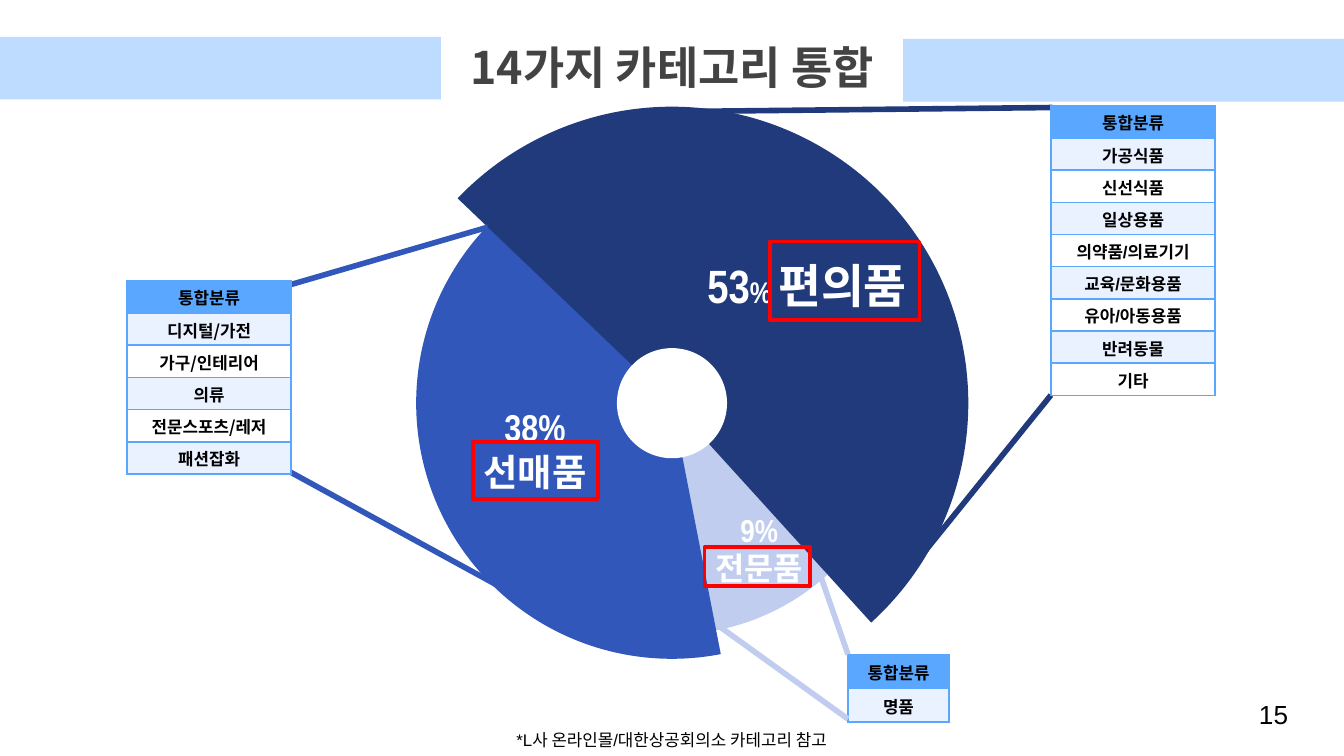
from lxml.etree import SubElement
from pptx import Presentation
from pptx.dml.color import RGBColor
from pptx.enum.shapes import MSO_CONNECTOR as Link, MSO_SHAPE as Shape
from pptx.enum.text import MSO_ANCHOR as Anchor, MSO_AUTO_SIZE as Auto, PP_ALIGN as Align
from pptx.oxml.ns import qn
from pptx.util import Pt

NAVY, BLUE, PALE = "203A7B", "3057B9", "C0CDEF"
HEAD, BAND, WHITE, BLACK = "59A7FF", "EAF1FF", "FFFFFF", "000000"
MID_X, MID_Y = 360, 216
KOREAN = "Noto Sans CJK KR"


def color(code):
    return RGBColor.from_string(code)


def style(run, size, code, bold=False, face="Arial"):
    font = run.font
    font.name, font.size, font.bold = face, Pt(size), bold
    font.color.rgb = color(code)


def add_text(slide, box, lines, size, code, bold=False, face="Arial",
             align=Align.CENTER, pad=None, grow=False, wrap=True):
    """Add a text box; pad sets all insets and centres the text vertically."""
    frame = slide.shapes.add_textbox(*map(Pt, box)).text_frame
    frame.word_wrap = wrap
    if grow:
        frame.auto_size = Auto.SHAPE_TO_FIT_TEXT
    if pad is not None:
        frame.vertical_anchor = Anchor.MIDDLE
        frame.margin_left = frame.margin_right = Pt(pad)
        frame.margin_top = frame.margin_bottom = Pt(pad)
    frame.text = lines
    for para in frame.paragraphs:
        para.alignment = align
        for run in para.runs:
            style(run, size, code, bold, face)
    return frame


def add_shape(slide, kind, box, fill=None, line=None):
    shape = slide.shapes.add_shape(kind, *map(Pt, box))
    shape.shadow.inherit = False
    if fill:
        shape.fill.solid()
        shape.fill.fore_color.rgb = color(fill)
    else:
        shape.fill.background()
    if line:
        shape.line.color.rgb = color(line)
        shape.line.width = Pt(2)
    else:
        shape.line.fill.background()
    return shape


def add_disc(slide, kind, radius, fill):
    box = (MID_X - radius, MID_Y - radius, 2 * radius, 2 * radius)
    return add_shape(slide, kind, box, fill)


def add_slice(slide, radius, start, end, fill):
    """Add a pie slice between two angles in degrees, clockwise from the right."""
    pie = add_disc(slide, Shape.PIE, radius, fill)
    for spot, angle in enumerate((start, end)):
        pie.adjustments[spot] = angle * 0.6


def add_line(slide, ends, code):
    line = slide.shapes.add_connector(Link.STRAIGHT, *map(Pt, ends))
    line.line.color.rgb = color(code)
    line.line.width = Pt(3)
    SubElement(line._element.spPr, qn("a:effectLst"))


def add_edges(cell):
    props = cell._tc.get_or_add_tcPr()
    for side in ("lnL", "lnR", "lnT", "lnB"):
        edge = SubElement(props, qn(f"a:{side}"), w=str(Pt(1)))
        fill = SubElement(edge, qn("a:solidFill"))
        SubElement(fill, qn("a:srgbClr"), val=HEAD)


def add_list(slide, left, top, width, step, names, face="Arial"):
    """Add a one-column table with a header and banded rows."""
    rows = ["통합분류", *names]
    table = slide.shapes.add_table(len(rows), 1, Pt(left), Pt(top), Pt(width),
                                   Pt(step * len(rows))).table
    for spot, name in enumerate(rows):
        table.rows[spot].height = Pt(step)
        cell = table.cell(spot, 0)
        add_edges(cell)
        cell.fill.solid()
        shade = BAND if spot % 2 else WHITE
        cell.fill.fore_color.rgb = color(shade if spot else HEAD)
        cell.margin_left = cell.margin_right = cell.margin_top = Pt(0.75)
        cell.margin_bottom = 0
        cell.vertical_anchor = Anchor.MIDDLE
        cell.text = name
        para = cell.text_frame.paragraphs[0]
        para.alignment = Align.CENTER
        style(para.runs[0], 9, BLACK, True, face if spot else "Arial")


def add_share(slide, box, lines, size):
    return add_text(slide, box, lines, size, WHITE, True, "Arial Narrow", pad=7.2)


def add_chart(slide):
    """Draw the three slices with their labels and the white hub."""
    add_slice(slide, 124, 47.73, 79.17, PALE)
    add_share(slide, (336.2, 269.3, 141.1, 49), "9%\n전문품", 17)
    add_slice(slide, 137, 78.98, 225, BLUE)
    add_share(slide, (204.5, 216, 164.2, 49), "38%\n선매품", 20)
    add_slice(slide, 158.8, 223.7, 47.76, NAVY)
    para = add_share(slide, (360, 128.2, 144.7, 49), "53", 25).paragraphs[0]
    for part, size in (("% ", 16), ("편의품", 25)):
        run = para.add_run()
        run.text = part
        style(run, size, WHITE, True, "Arial Narrow")
    add_disc(slide, Shape.OVAL, 29.5, WHITE)


def main():
    deck = Presentation()
    deck.slide_width, deck.slide_height = Pt(720), Pt(405)
    slide = deck.slides.add_slide(deck.slide_layouts[6])

    add_text(slide, (243.4, 387.4, 232.6, 18), "*L사 온라인몰/대한상공회의소 카테고리 참고",
             9, BLACK, grow=True)
    add_list(slide, 454.3, 350.8, 54, 18, ["명품"])
    add_chart(slide)
    for code, *ends in (
        (BLUE, 152.6, 153.4, 261.4, 121.7),
        (BLUE, 152.6, 251.3, 327.6, 347),
        (NAVY, 360, 59.8, 563.8, 57.6),
        (NAVY, 466.6, 331.2, 563, 211.7),
        (PALE, 439.2, 307.4, 454.3, 350.6),
        (PALE, 385.2, 335.5, 454.3, 385.2),
    ):
        add_line(slide, ends, code)
    for box in ((412.4, 129.4, 80.2, 42), (253.4, 237, 67, 30.4),
                (377.5, 293, 56.4, 21)):
        add_shape(slide, Shape.RECTANGLE, box, line="FF0000")
    add_text(slide, (667.4, 367.2, 43.2, 31), "15", 14, BLACK,
             align=Align.LEFT, pad=7.2)
    add_list(slide, 563, 56.7, 88, 17.25,
             ["가공식품", "신선식품", "일상용품", "의약품/의료기기", "교육/문화용품",
              "유아/아동용품", "반려동물", "기타"])
    add_list(slide, 68, 150.5, 88, 17.25,
             ["디지털/가전", "가구/인테리어", "의류", "전문스포츠/레저", "패션잡화"], KOREAN)
    add_text(slide, (233.3, 18, 253.4, 36), "14가지 카테고리 통합", 24, "434343",
             True, KOREAN, grow=True, wrap=False)
    for left, top in ((0, 19.7), (483.8, 20.9)):
        add_shape(slide, Shape.RECTANGLE, (left, top, 236.2, 33.6), "BDDCFF")

    deck.save("out.pptx")


if __name__ == "__main__":
    main()
